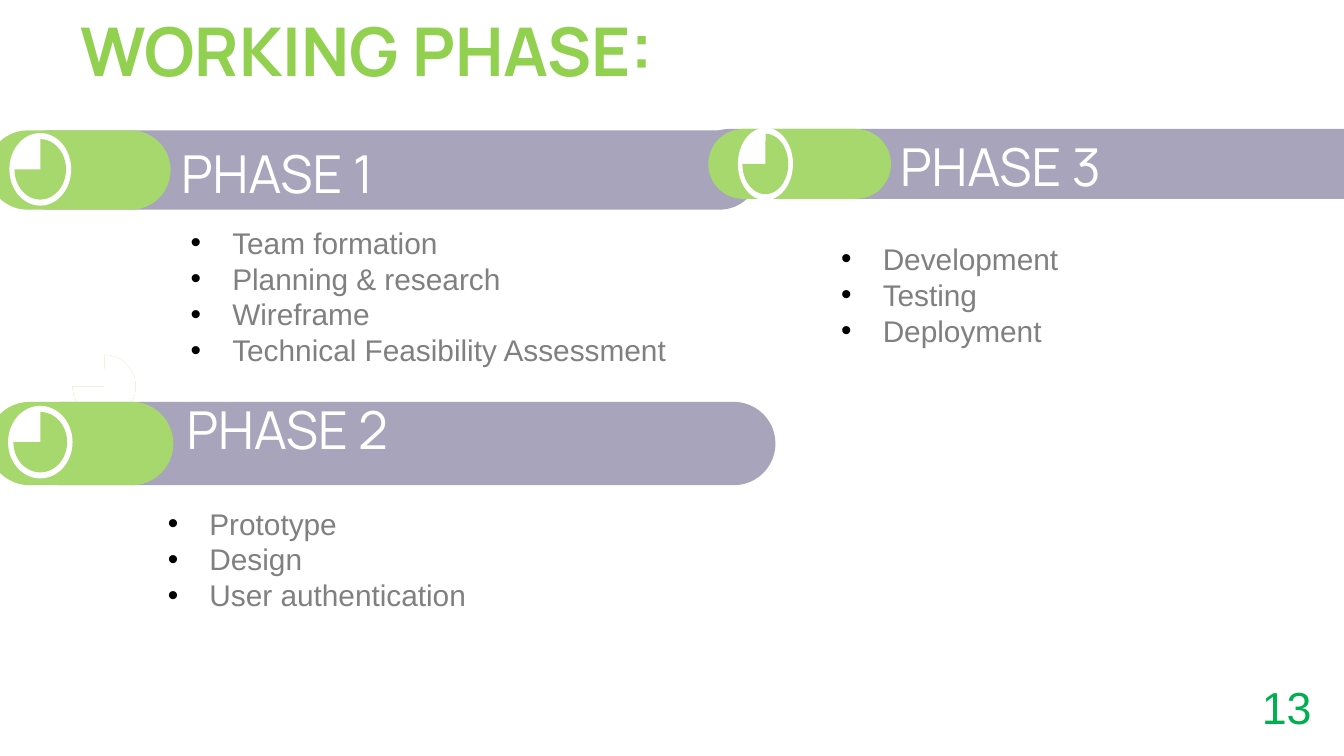
from lxml import etree
from pptx import Presentation
from pptx.dml.color import RGBColor
from pptx.enum import shapes
from pptx.oxml.ns import qn
from pptx.util import Inches, Pt

THEME = {
    "green": "A7D86D", "purple": "A7A4BC", "white": "FFFFFF",
    "title": "92D050", "body": "808080", "number": "00B050", "bullet": "000000",
    "head_font": "Manrope", "body_font": "Arial",
    "title_size": 36, "phase_size": 28, "body_size": 16, "number_size": 24,
}

TITLE = ("WORKING PHASE:", (0.5, 0.02, 5.58, 0.71))
NUMBER = ("13", (9.29, 5.01, 0.83, 0.5))
SPARE_PIE = (0.54, 2.64, 0.47, 0.47)

PHASES = [
    {"name": "PHASE 1", "bar": (0.07, 0.97, 5.58, 0.59), "tab": (-0.09, 1.36),
     "clock": (0.07, 0.99, 0.46, 0.54), "label": (1.25, 1, 2.06, 0.57),
     "list": (1.32, 1.57, 3.81, 1.21),
     "items": ["Team formation", "Planning & research", "Wireframe",
               "Technical Feasibility Assessment"]},
    {"name": "PHASE 3", "bar": (5.16, 0.96, 5.59, 0.52), "tab": (5.27, 1.36),
     "clock": (5.49, 0.95, 0.41, 0.54), "label": (6.6, 0.95, 2.76, 0.57),
     "list": (6.16, 1.69, 3.81, 0.85),
     "items": ["Development", "Testing", "Deployment"]},
    {"name": "PHASE 2", "bar": (0.15, 2.99, 5.62, 0.62), "tab": (-0.09, 1.38),
     "clock": (0.06, 3.02, 0.48, 0.54), "label": (1.29, 2.91, 1.72, 0.57),
     "list": (1.15, 3.66, 3.81, 1.12),
     "items": ["Prototype", "Design", "User authentication"]},
]

KIND = shapes.MSO_SHAPE
THREE_QUARTERS = (162.26, 107.96)


def add_shape(s, kind, box, color, adjustments=()):
    sp = s.shapes.add_shape(kind, *map(Inches, box))
    sp.shadow.inherit = False
    sp.fill.solid()
    sp.fill.fore_color.rgb = RGBColor.from_string(THEME[color])
    sp.line.fill.background()
    for i, value in enumerate(adjustments):
        sp.adjustments[i] = value


def add_bullet(p):
    pPr = p._p.get_or_add_pPr()
    pPr.set("marL", str(Inches(0.31)))
    pPr.set("indent", str(Inches(-0.31)))
    color = etree.SubElement(pPr, qn("a:buClr"))
    etree.SubElement(color, qn("a:srgbClr"), val=THEME["bullet"])
    etree.SubElement(pPr, qn("a:buFont"), typeface=THEME["body_font"])
    etree.SubElement(pPr, qn("a:buChar"), char="•")


def add_text(s, box, lines, font, size, color, bold=False, bullets=False):
    tf = s.shapes.add_textbox(*map(Inches, box)).text_frame
    tf.word_wrap = True
    if bullets:
        tf.margin_left = tf.margin_right = Inches(0.1)
        tf.margin_top = tf.margin_bottom = Inches(0.1)
    for i, line in enumerate(lines):
        p = tf.add_paragraph() if i else tf.paragraphs[0]
        if bullets:
            add_bullet(p)
        r = p.add_run()
        r.text = line
        r.font.name = THEME[font]
        r.font.size = Pt(THEME[size])
        r.font.bold = bold
        r.font.color.rgb = RGBColor.from_string(THEME[color])


def add_banner(s, phase):
    _, top, _, height = phase["bar"]
    tab_left, tab_width = phase["tab"]
    add_shape(s, KIND.ROUNDED_RECTANGLE, phase["bar"], "purple", [0.5])
    add_shape(s, KIND.ROUNDED_RECTANGLE, (tab_left, top, tab_width, height),
              "green", [0.5])
    x, y, w, h = phase["clock"]
    dx, dy = w / 12, h / 12
    add_shape(s, KIND.OVAL, phase["clock"], "white")
    add_shape(s, KIND.PIE, (x + dx, y + dy, w - 2 * dx, h - 2 * dy),
              "green", THREE_QUARTERS)


def main():
    prs = Presentation()
    prs.slide_width = Inches(10)
    prs.slide_height = prs.slide_width * 9 // 16
    s = prs.slides.add_slide(prs.slide_layouts[6])
    for color in ("green", "white"):
        add_shape(s, KIND.PIE, SPARE_PIE, color, THREE_QUARTERS)
    title, box = TITLE
    add_text(s, box, [title], "head_font", "title_size", "title", bold=True)
    for phase in PHASES:
        add_banner(s, phase)
    for phase in PHASES:
        add_text(s, phase["label"], [phase["name"]],
                 "head_font", "phase_size", "white")
        add_text(s, phase["list"], phase["items"],
                 "body_font", "body_size", "body", bullets=True)
    number, box = NUMBER
    add_text(s, box, [number], "body_font", "number_size", "number")
    prs.save("out.pptx")


if __name__ == "__main__":
    main()
